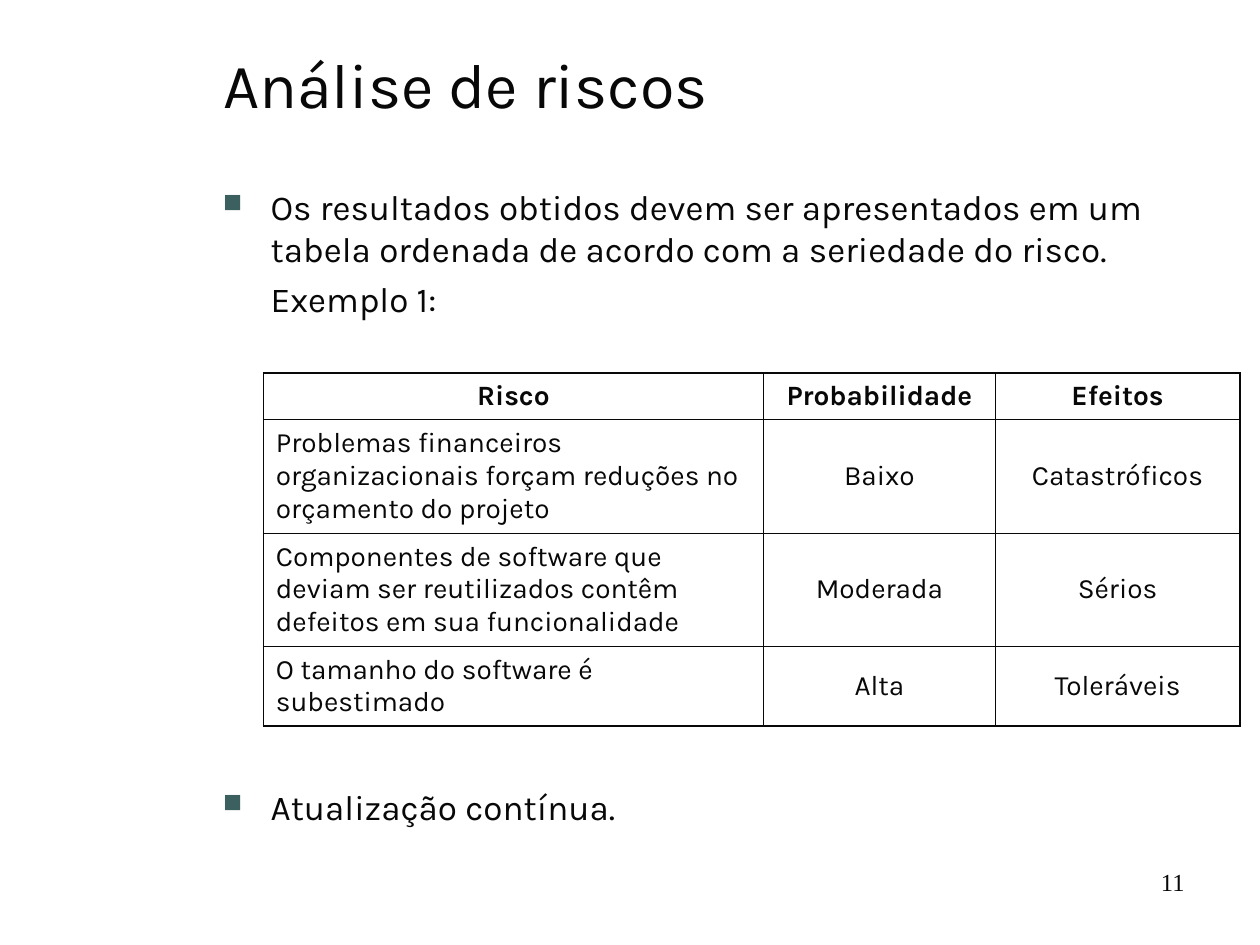
"""Build the risk analysis slide with its table of ordered risks."""

from dataclasses import dataclass

import pptx
import pptx.dml.color
import pptx.enum.text
import pptx.oxml
import pptx.oxml.ns
import pptx.slide
import pptx.table
import pptx.text.text
import pptx.util
from pptx.util import Inches

INK = pptx.dml.color.RGBColor(0x08, 0x08, 0x08)
BULLET_COLOR = pptx.dml.color.RGBColor(0x3C, 0x60, 0x5F)
WHITE = pptx.dml.color.RGBColor(0xFF, 0xFF, 0xFF)
BODY_FONT = "Karla"
NUMBER_FONT = "Times New Roman"
THICK, THIN = 1.08, 0.45
LEFT = pptx.enum.text.PP_ALIGN.LEFT
CENTER = pptx.enum.text.PP_ALIGN.CENTER
RIGHT = pptx.enum.text.PP_ALIGN.RIGHT
MIDDLE = pptx.enum.text.MSO_ANCHOR.MIDDLE


@dataclass(frozen=True)
class BodyLine:
    text: str
    bulleted: bool
    space_before: float = 5


@dataclass(frozen=True)
class Risk:
    description: str
    probability: str
    effects: str


BODY_LINES = [
    BodyLine(
        "Os resultados obtidos devem ser apresentados em um tabela ordenada "
        "de acordo com a seriedade do risco.",
        True,
    ),
    BodyLine("Exemplo 1:", False),
    BodyLine("Atualização contínua.", True, 266),
]
RISKS = [
    Risk("Risco", "Probabilidade", "Efeitos"),
    Risk(
        "Problemas financeiros organizacionais forçam reduções no orçamento do projeto",
        "Baixo",
        "Catastróficos",
    ),
    Risk(
        "Componentes de software que deviam ser reutilizados contêm defeitos "
        "em sua funcionalidade",
        "Moderada",
        "Sérios",
    ),
    Risk("O tamanho do software é subestimado", "Alta", "Toleráveis"),
]
COLUMN_WIDTHS = [3.97, 1.84, 1.94]
ROW_HEIGHTS = [0.37, 0.9, 0.9, 0.63]


def format_paragraph(
    paragraph: pptx.text.text._Paragraph,
    size: float,
    font_name: str = BODY_FONT,
    alignment: pptx.enum.text.PP_ALIGN = LEFT,
    bold: bool = False,
) -> None:
    """Set the font and alignment of a whole paragraph."""
    paragraph.alignment = alignment
    paragraph.font.name = font_name
    paragraph.font.size = pptx.util.Pt(size)
    paragraph.font.bold = bold
    paragraph.font.color.rgb = INK


def set_indent(paragraph: pptx.text.text._Paragraph, bulleted: bool) -> None:
    """Indent a paragraph and hang a square bullet when asked."""
    properties = paragraph._p.get_or_add_pPr()
    indent = Inches(0.38)
    properties.set("marL", str(indent))
    properties.set("indent", str(-indent if bulleted else 0))
    if bulleted:
        namespace = pptx.oxml.ns.nsdecls("a")
        for xml in (
            f'<a:buClr {namespace}><a:srgbClr val="{BULLET_COLOR}"/></a:buClr>',
            f'<a:buSzPct {namespace} val="75000"/>',
            f'<a:buChar {namespace} char="■"/>',
        ):
            properties.append(pptx.oxml.parse_xml(xml))


def set_borders(cell: pptx.table._Cell, widths: dict[str, float]) -> None:
    """Draw the four cell borders, given in left, right, top, bottom order."""
    properties = cell._tc.get_or_add_tcPr()
    for position, (side, width) in enumerate(widths.items()):
        border = pptx.oxml.parse_xml(
            f'<a:ln{side} {pptx.oxml.ns.nsdecls("a")} w="{pptx.util.Pt(width)}">'
            f'<a:solidFill><a:srgbClr val="{INK}"/></a:solidFill></a:ln{side}>'
        )
        properties.insert(position, border)


def add_title(slide: pptx.slide.Slide) -> None:
    """Place and format the slide title."""
    title = slide.shapes.title
    title.left, title.top = Inches(1.67), Inches(0.08)
    title.width, title.height = Inches(8.07), Inches(1.17)
    title.text_frame.text = "Análise de riscos"
    title.text_frame.vertical_anchor = MIDDLE
    format_paragraph(title.text_frame.paragraphs[0], 36)


def add_body(slide: pptx.slide.Slide) -> None:
    """Write the lines above and below the table."""
    body = slide.shapes.add_textbox(
        Inches(1.67), Inches(1.42), Inches(8.33), Inches(5.75)
    )
    frame = body.text_frame
    frame.word_wrap = True
    for index, line in enumerate(BODY_LINES):
        paragraph = frame.add_paragraph() if index else frame.paragraphs[0]
        paragraph.text = line.text
        format_paragraph(paragraph, 20)
        paragraph.space_before = pptx.util.Pt(line.space_before)
        set_indent(paragraph, line.bulleted)


def add_risk_table(slide: pptx.slide.Slide) -> None:
    """Add the risk table with a thick frame and thin inner lines."""
    table = slide.shapes.add_table(
        len(RISKS),
        len(COLUMN_WIDTHS),
        Inches(2.09),
        Inches(2.96),
        Inches(sum(COLUMN_WIDTHS)),
        Inches(sum(ROW_HEIGHTS)),
    ).table
    table.first_row = table.horz_banding = False
    for column, width in zip(table.columns, COLUMN_WIDTHS):
        column.width = Inches(width)
    last_row, last_column = len(RISKS) - 1, len(COLUMN_WIDTHS) - 1
    for row, (risk, height) in enumerate(zip(RISKS, ROW_HEIGHTS)):
        table.rows[row].height = Inches(height)
        texts = (risk.description, risk.probability, risk.effects)
        for column, text in enumerate(texts):
            cell = table.cell(row, column)
            cell.text = text
            cell.vertical_anchor = MIDDLE
            cell.fill.solid()
            cell.fill.fore_color.rgb = WHITE
            paragraph = cell.text_frame.paragraphs[0]
            alignment = LEFT if row and not column else CENTER
            format_paragraph(paragraph, 16, alignment=alignment, bold=row == 0)
            paragraph.space_before = pptx.util.Pt(4)
            outer_sides = {
                "L": column == 0,
                "R": column == last_column,
                "T": row == 0,
                "B": row == last_row,
            }
            set_borders(
                cell,
                {side: THICK if outer else THIN for side, outer in outer_sides.items()},
            )


def add_page_number(slide: pptx.slide.Slide) -> None:
    """Write the page number at the bottom right."""
    number = slide.shapes.add_textbox(
        Inches(7.17), Inches(6.83), Inches(2.33), Inches(0.52)
    )
    number.text_frame.word_wrap = True
    number.text_frame.text = "11"
    format_paragraph(number.text_frame.paragraphs[0], 14, NUMBER_FONT, RIGHT)


def main() -> None:
    """Create and save the presentation."""
    presentation = pptx.Presentation()
    presentation.slide_width, presentation.slide_height = Inches(10), Inches(7.5)
    slide = presentation.slides.add_slide(presentation.slide_layouts[5])
    add_page_number(slide)
    add_title(slide)
    add_body(slide)
    add_risk_table(slide)
    presentation.save("out.pptx")


if __name__ == "__main__":
    main()
